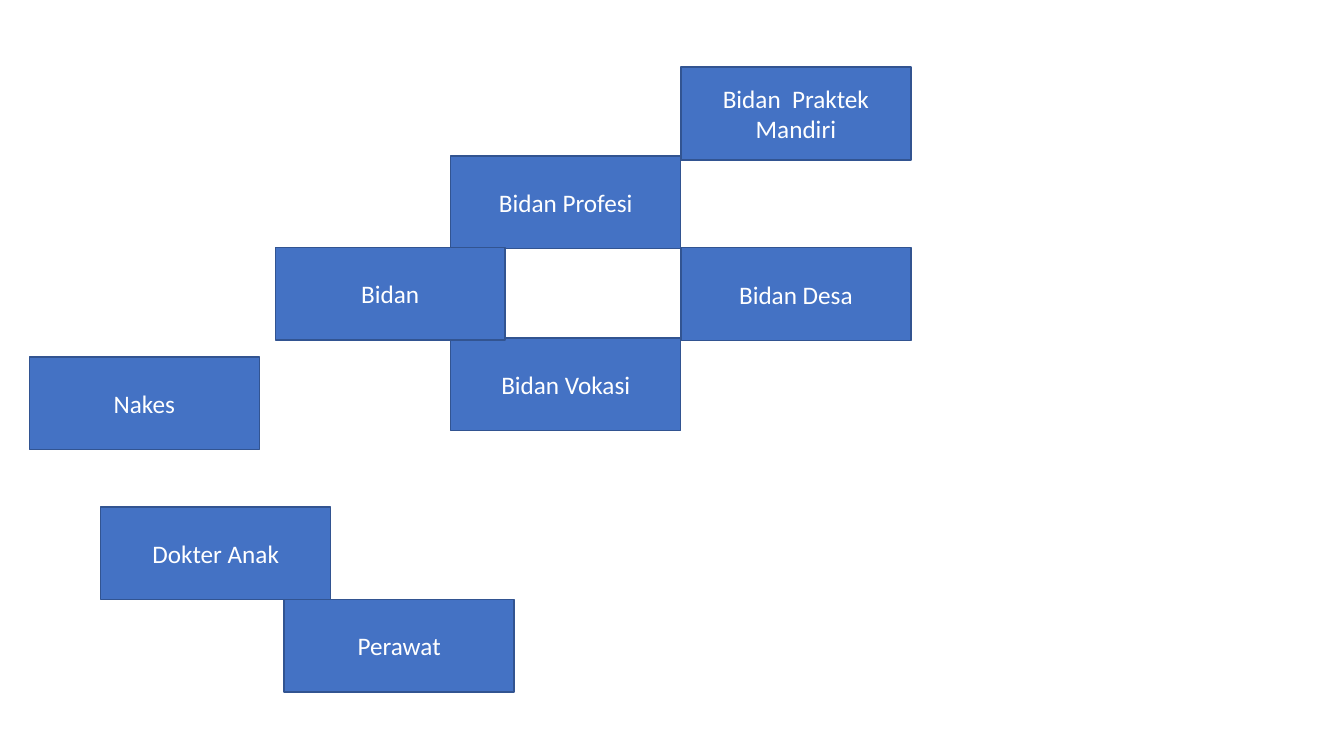
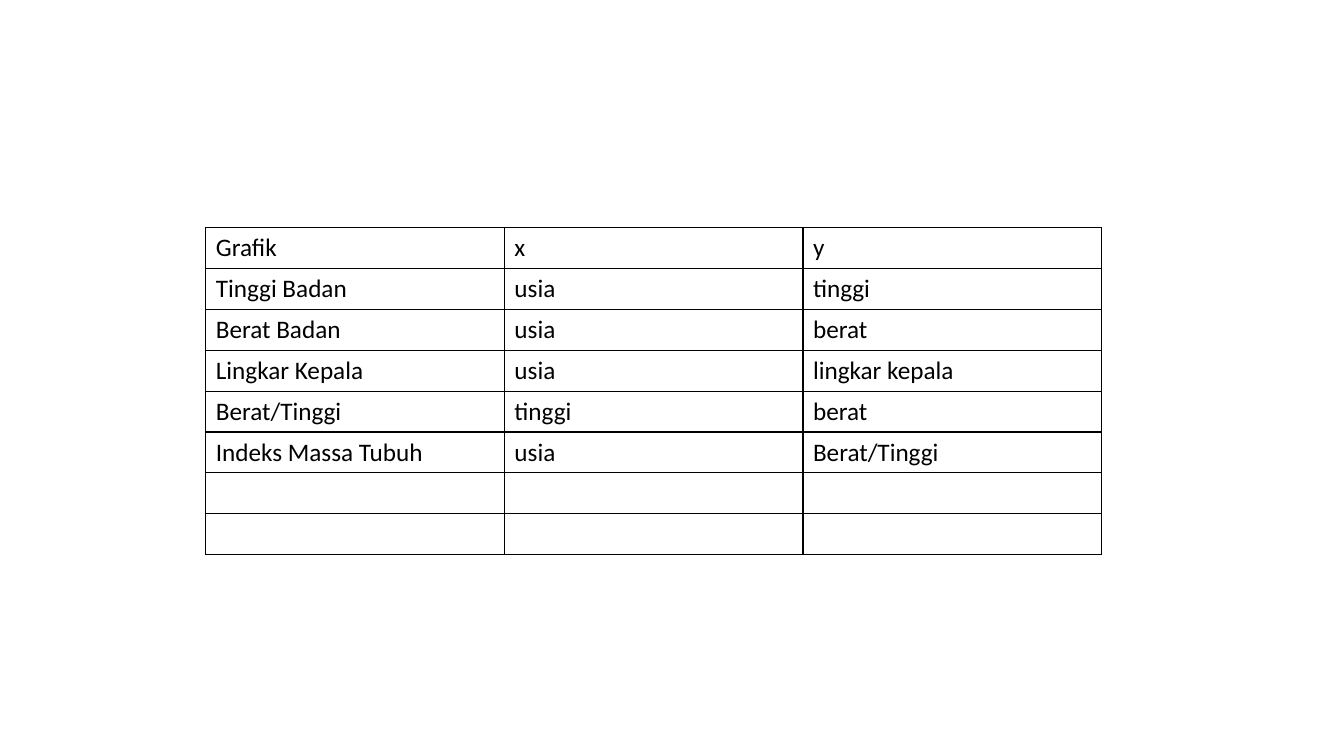
from dataclasses import dataclass

import pptx
import pptx.dml.color
import pptx.enum.shapes
import pptx.enum.text
import pptx.oxml
import pptx.oxml.ns
import pptx.presentation
import pptx.slide
import pptx.table
import pptx.text.text
import pptx.util

Pt = pptx.util.Pt
RGBColor = pptx.dml.color.RGBColor

BLUE = RGBColor(0x44, 0x72, 0xC4)
NAVY = RGBColor(0x32, 0x54, 0x91)
WHITE = RGBColor(0xFF, 0xFF, 0xFF)
BLACK = RGBColor(0x00, 0x00, 0x00)
FONT = "Calibri"
FONT_SIZE = 18

BLANK_LAYOUT = 6
BOX_W, BOX_H = 164.3, 66.2
TABLE_X, TABLE_Y = 147, 162.6
COL_W, ROW_H = 213.3, 29.2


@dataclass(frozen=True)
class Box:
    text: str
    x: float
    y: float


BOXES = (
    Box("Nakes", 21, 254.9),
    Box("Dokter Anak", 72, 362),
    Box("Perawat", 203, 428.2),
    Box("Bidan Profesi", 322, 111.5),
    Box("Bidan Vokasi", 322, 241.4),
    Box("Bidan", 196.6, 176.6),
    Box("Bidan Desa", 486.4, 176.9),
    Box("Bidan  Praktek Mandiri", 486.4, 48),
)

ROWS = (
    ("Grafik", "x", "y"),
    ("Tinggi Badan", "usia", "tinggi"),
    ("Berat Badan", "usia", "berat"),
    ("Lingkar Kepala", "usia", "lingkar kepala"),
    ("Berat/Tinggi", "tinggi", "berat"),
    ("Indeks Massa Tubuh", "usia", "Berat/Tinggi"),
    ("", "", ""),
    ("", "", ""),
)


def add_text(tf: pptx.text.text.TextFrame, text: str, color: RGBColor) -> None:
    p = tf.paragraphs[0]
    r = p.add_run()
    r.text = text
    r.font.name = FONT
    r.font.size = Pt(FONT_SIZE)
    r.font.color.rgb = color


def add_box(s: pptx.slide.Slide, box: Box) -> None:
    sp = s.shapes.add_shape(
        pptx.enum.shapes.MSO_SHAPE.RECTANGLE,
        Pt(box.x), Pt(box.y), Pt(BOX_W), Pt(BOX_H),
    )
    sp.shadow.inherit = False
    sp.fill.solid()
    sp.fill.fore_color.rgb = BLUE
    sp.line.color.rgb = NAVY
    sp.line.width = Pt(1)
    tf = sp.text_frame
    tf.word_wrap = True
    tf.vertical_anchor = pptx.enum.text.MSO_ANCHOR.MIDDLE
    tf.paragraphs[0].alignment = pptx.enum.text.PP_ALIGN.CENTER
    add_text(tf, box.text, WHITE)


def set_borders(cell: pptx.table._Cell, color: RGBColor, width: float) -> None:
    tc_pr = cell._tc.get_or_add_tcPr()
    for side in ("lnL", "lnR", "lnT", "lnB"):
        tc_pr.append(pptx.oxml.parse_xml(
            f'<a:{side} {pptx.oxml.ns.nsdecls("a")} w="{Pt(width)}">'
            f'<a:solidFill><a:srgbClr val="{color}"/></a:solidFill></a:{side}>'
        ))


def add_grid(s: pptx.slide.Slide, rows: tuple[tuple[str, ...], ...]) -> None:
    n_rows, n_cols = len(rows), len(rows[0])
    table = s.shapes.add_table(
        n_rows, n_cols,
        Pt(TABLE_X), Pt(TABLE_Y), Pt(COL_W * n_cols), Pt(ROW_H * n_rows),
    ).table
    table.first_row = False
    table.horz_banding = False
    for i, row in enumerate(rows):
        for j, text in enumerate(row):
            cell = table.cell(i, j)
            set_borders(cell, BLACK, 1)
            cell.fill.background()
            if text:
                add_text(cell.text_frame, text, BLACK)


def add_slide(prs: pptx.presentation.Presentation) -> pptx.slide.Slide:
    s = prs.slides.add_slide(prs.slide_layouts[BLANK_LAYOUT])
    s.background.fill.solid()
    s.background.fill.fore_color.rgb = WHITE
    return s


def main() -> None:
    prs = pptx.Presentation()
    prs.slide_width, prs.slide_height = Pt(960), Pt(540)
    s = add_slide(prs)
    for box in BOXES:
        add_box(s, box)
    add_grid(add_slide(prs), ROWS)
    prs.save("out.pptx")


if __name__ == "__main__":
    main()
